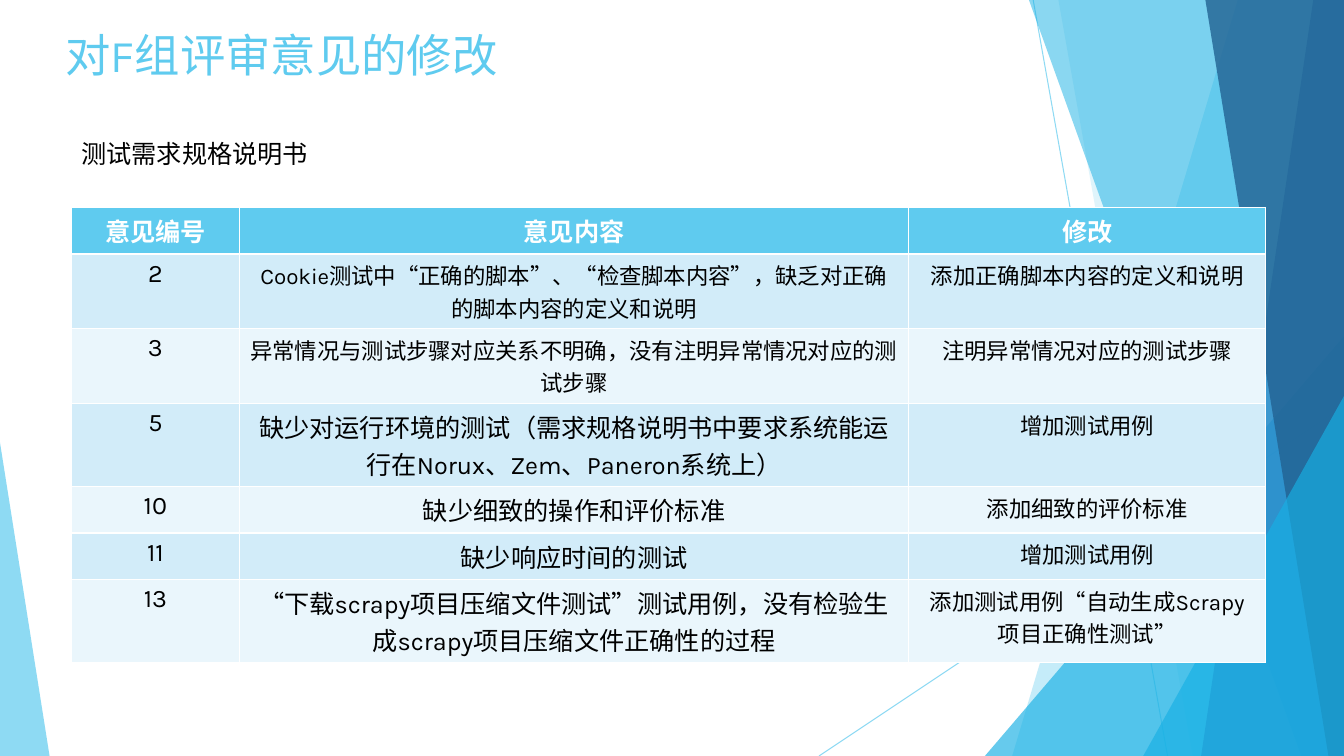
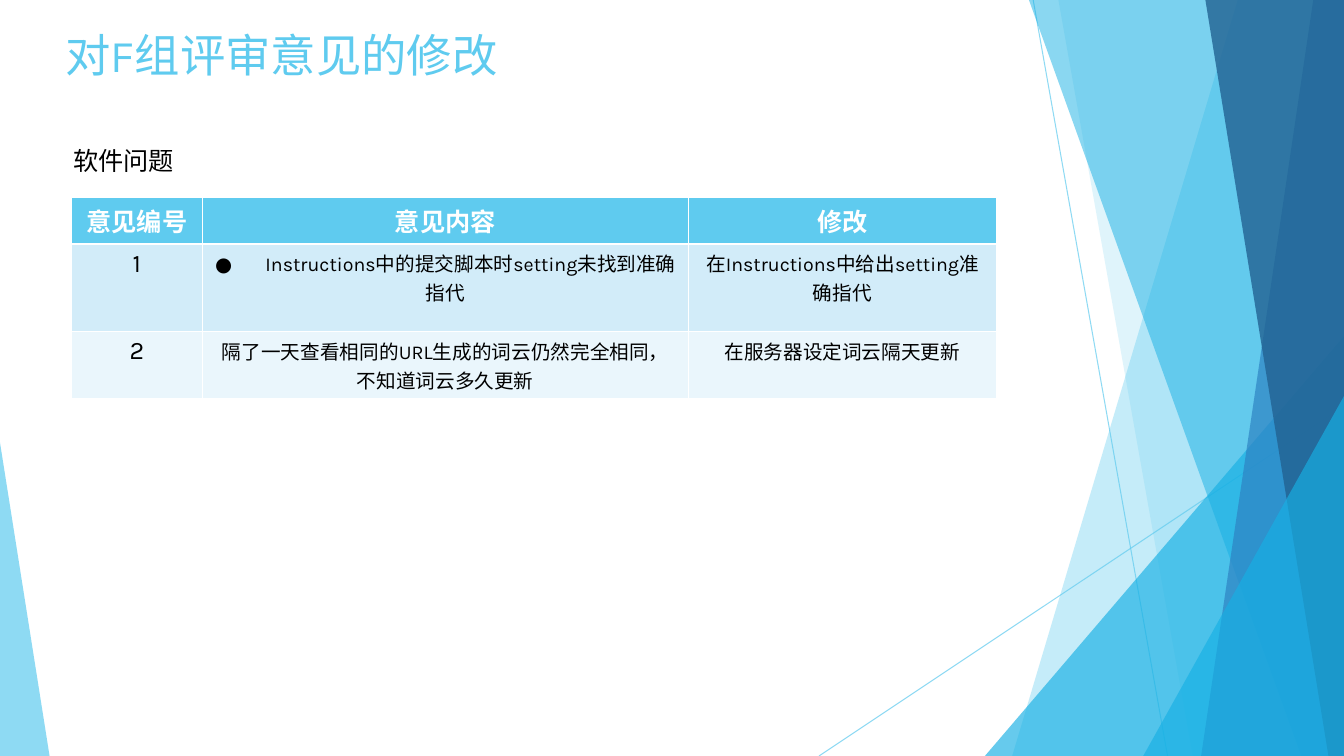
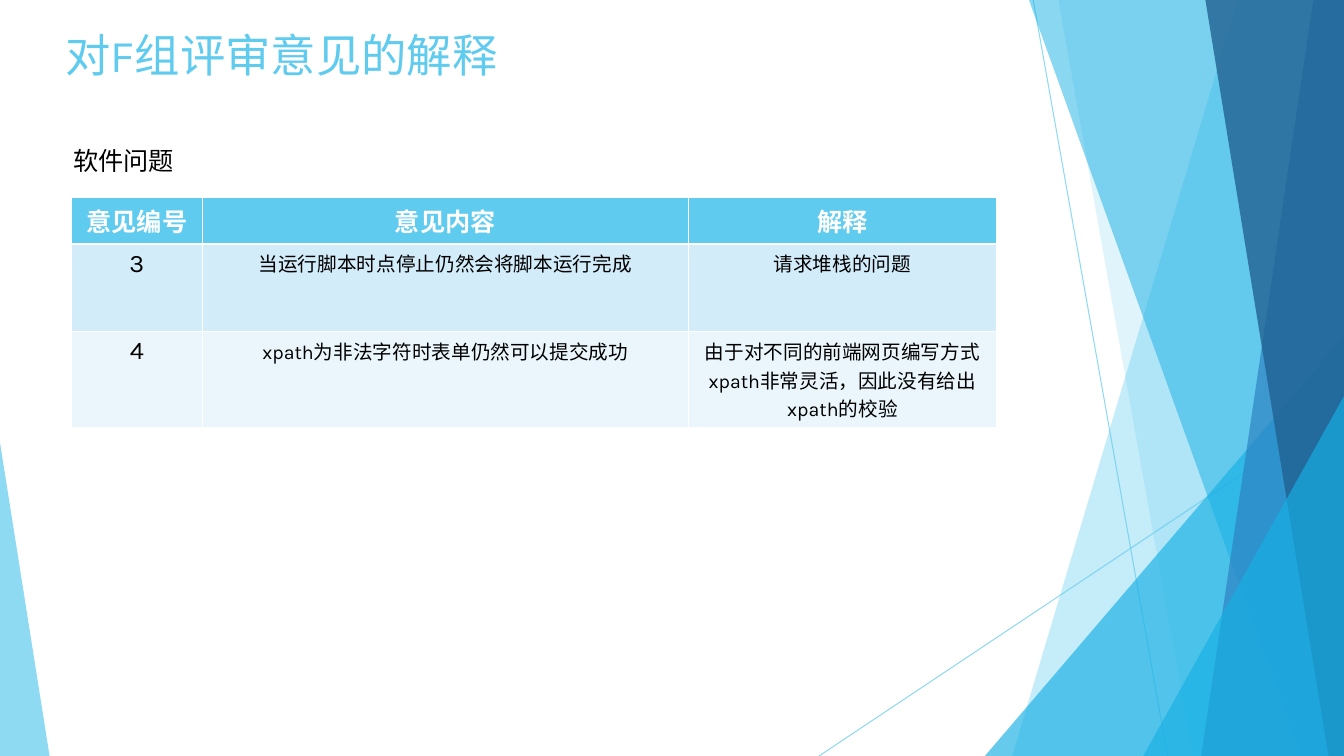
from dataclasses import dataclass

from lxml.etree import SubElement
from pptx import Presentation
from pptx.dml.color import RGBColor
from pptx.enum.shapes import MSO_CONNECTOR, MSO_SHAPE
from pptx.enum.text import MSO_ANCHOR, MSO_AUTO_SIZE, PP_ALIGN
from pptx.oxml.ns import qn
from pptx.util import Emu, Pt

# Grid: 32 columns by 18 rows of square units
COLUMNS, ROWS = 32, 18
UNIT = 381000

FONT = "Karla"
SKY, CYAN, BLUE, NAVY = "5FCBEF", "17B0E4", "2E83C3", "226292"
WHITE, BLACK = "FFFFFF", "000000"
BANDS = ("D2ECF9", "EAF6FC")
TEXT_SIZE = 18


@dataclass
class Ray:
    """Thin line across the backdrop."""
    start: tuple[float, float]
    end: tuple[float, float]


@dataclass
class Blade:
    """Full-height area from a slanted edge to the right side."""
    top: float
    foot: float
    colour: str
    opacity: int


@dataclass
class Wedge:
    """Triangle standing on the bottom edge; apex is 0 (left) or 1 (right)."""
    left: float
    top: float
    width: float
    apex: int
    colour: str
    opacity: int


@dataclass
class Remark:
    number: str
    content: str
    reply: str
    size: float
    reply_size: float


@dataclass
class Review:
    title: str
    caption: str
    caption_at: tuple[float, float]
    table_top: float
    widths: tuple[float, ...]
    heights: tuple[float, ...]
    reply_heading: str
    remarks: list[Remark]


BACKDROP = [
    Ray((24.6, 0), (27.8, ROWS)),
    Ray((COLUMNS, 9.67), (19.5, ROWS)),
    Blade(29.47, 24.1, SKY, 36),
    Blade(25.2, 28.4, SKY, 20),
    Wedge(23.45, 8, 8.55, 1, CYAN, 66),
    Blade(24.5, 30.98, CYAN, 50),
    Blade(31.27, 28.6, BLUE, 70),
    Blade(28.7, 31.63, NAVY, 80),
    Wedge(27.22, 9.43, 4.78, 1, CYAN, 66),
    Wedge(0, 10.54, 1.18, 0, SKY, 70),
]

SOFTWARE = dict(
    caption="软件问题", caption_at=(1.51, 3.34), table_top=4.7,
    widths=(3.12, 11.57, 7.34), heights=(1.06, 2.09, 1.49),
)

REVIEWS = [
    Review(
        title="对F组评审意见的修改",
        caption="测试需求规格说明书", caption_at=(1.7, 3.17), table_top=4.94,
        widths=(4, 15.94, 8.5),
        heights=(1.06, 1.49, 1.03, 1.49, 0.67, 0.74, 1.49),
        reply_heading="修改",
        remarks=[
            Remark("2", "Cookie测试中“正确的脚本”、“检查脚本内容”，缺乏对正确的脚本内容的定义和说明",
                   "添加正确脚本内容的定义和说明", 16, 16),
            Remark("3", "异常情况与测试步骤对应关系不明确，没有注明异常情况对应的测试步骤",
                   "注明异常情况对应的测试步骤", 16, 16),
            Remark("5", "缺少对运行环境的测试（需求规格说明书中要求系统能运行在Norux、Zem、Paneron系统上）",
                   "增加测试用例", 18, 16),
            Remark("10", "缺少细致的操作和评价标准", "添加细致的评价标准", 18, 16),
            Remark("11", "缺少响应时间的测试", "增加测试用例", 18, 16),
            Remark("13", "“下载scrapy项目压缩文件测试”测试用例，没有检验生成scrapy项目压缩文件正确性的过程",
                   "添加测试用例“自动生成Scrapy项目正确性测试”", 18, 16),
        ],
    ),
    Review(
        title="对F组评审意见的修改", reply_heading="修改", **SOFTWARE,
        remarks=[
            Remark("1", "●\tInstructions中的提交脚本时setting未找到准确指代",
                   "在Instructions中给出setting准确指代", 14, 14),
            Remark("2", "隔了一天查看相同的URL生成的词云仍然完全相同，不知道词云多久更新",
                   "在服务器设定词云隔天更新", 14, 14),
        ],
    ),
    Review(
        title="对F组评审意见的解释", reply_heading="解释", **SOFTWARE,
        remarks=[
            Remark("3", "当运行脚本时点停止仍然会将脚本运行完成", "请求堆栈的问题", 14, 14),
            Remark("4", "xpath为非法字符时表单仍然可以提交成功",
                   "由于对不同的前端网页编写方式xpath非常灵活，因此没有给出xpath的校验", 14, 14),
        ],
    ),
]


def grid(units: float) -> Emu:
    return Emu(round(units * UNIT))


def rgb(colour: str) -> RGBColor:
    return RGBColor.from_string(colour)


def set_opacity(shape, percent: int) -> None:
    colour = shape.element.spPr.find(".//" + qn("a:srgbClr"))
    SubElement(colour, qn("a:alpha")).set("val", str(percent * 1000))


def write(frame, text: str, size: float, colour: str, bold: bool = False,
          align: PP_ALIGN = PP_ALIGN.LEFT) -> None:
    frame.text = text
    para = frame.paragraphs[0]
    para.alignment = align
    for span in para.runs:
        span.font.name = FONT
        span.font.size = Pt(size)
        span.font.bold = bold
        span.font.color.rgb = rgb(colour)


# Backdrop
def draw_ray(page, ray: Ray):
    line = page.shapes.add_connector(
        MSO_CONNECTOR.STRAIGHT, *map(grid, ray.start + ray.end))
    line.line.color.rgb = rgb(SKY)
    line.line.width = Pt(0.75)
    set_opacity(line, 70)
    SubElement(line.element.spPr, qn("a:effectLst"))
    return line


def draw_area(page, area: Blade | Wedge):
    if isinstance(area, Blade):
        outline = page.shapes.build_freeform(grid(area.top), 0)
        corners = [(COLUMNS, 0), (COLUMNS, ROWS), (area.foot, ROWS)]
        outline.add_line_segments([(grid(x), grid(y)) for x, y in corners])
        shape = outline.convert_to_shape()
    else:
        shape = page.shapes.add_shape(
            MSO_SHAPE.ISOSCELES_TRIANGLE, grid(area.left), grid(area.top),
            grid(area.width), grid(ROWS - area.top))
        shape.adjustments[0] = area.apex
    shape.shadow.inherit = False
    shape.fill.solid()
    shape.fill.fore_color.rgb = rgb(area.colour)
    shape.line.fill.background()
    set_opacity(shape, area.opacity)
    return shape


def move_backdrop_to_layout(page, layout) -> None:
    """Draw the backdrop on a page, then hand it to the shared layout."""
    for holder in list(layout.placeholders):
        if holder.placeholder_format.idx != 0:
            layout.shapes.element.remove(holder.element)
    for part in BACKDROP:
        draw = draw_ray if isinstance(part, Ray) else draw_area
        layout.shapes.element.append(draw(page, part).element)


# Page content
def add_title(page, text: str) -> None:
    title = page.shapes.title
    title.left, title.top = grid(1.32), grid(0.74)
    title.width, title.height = grid(13.46), grid(1.13)
    frame = title.text_frame
    write(frame, text, 32.4, SKY)
    frame.auto_size = MSO_AUTO_SIZE.NONE
    frame.vertical_anchor = MSO_ANCHOR.MIDDLE


def add_caption(page, review: Review) -> None:
    box = page.shapes.add_textbox(*map(grid, review.caption_at), grid(8.02), grid(0.98))
    box.text_frame.word_wrap = True
    write(box.text_frame, review.caption, TEXT_SIZE, BLACK)


def fill_row(cells, texts: tuple[str, ...], sizes: tuple[float, ...],
             fill: str, colour: str, bold: bool = False) -> None:
    for cell, text, size in zip(cells, texts, sizes):
        cell.fill.solid()
        cell.fill.fore_color.rgb = rgb(fill)
        write(cell.text_frame, text, size, colour, bold, PP_ALIGN.CENTER)


def add_remarks(page, review: Review) -> None:
    table = page.shapes.add_table(
        len(review.heights), len(review.widths), grid(1.7), grid(review.table_top),
        grid(sum(review.widths)), grid(sum(review.heights))).table
    for column, width in zip(table.columns, review.widths):
        column.width = grid(width)
    for row, height in zip(table.rows, review.heights):
        row.height = grid(height)
    header, *body = table.rows
    fill_row(header.cells, ("意见编号", "意见内容", review.reply_heading),
             (TEXT_SIZE,) * 3, SKY, WHITE, bold=True)
    for index, (row, remark) in enumerate(zip(body, review.remarks)):
        fill_row(row.cells, (remark.number, remark.content, remark.reply),
                 (TEXT_SIZE, remark.size, remark.reply_size),
                 BANDS[index % 2], BLACK)


def main() -> None:
    deck = Presentation()
    deck.slide_width, deck.slide_height = grid(COLUMNS), grid(ROWS)
    layout = deck.slide_layouts.get_by_name("Title Only")
    pages = [deck.slides.add_slide(layout) for _ in REVIEWS]
    move_backdrop_to_layout(pages[0], layout)
    for page, review in zip(pages, REVIEWS):
        add_title(page, review.title)
        add_remarks(page, review)
        add_caption(page, review)
    deck.save("out.pptx")


if __name__ == "__main__":
    main()
